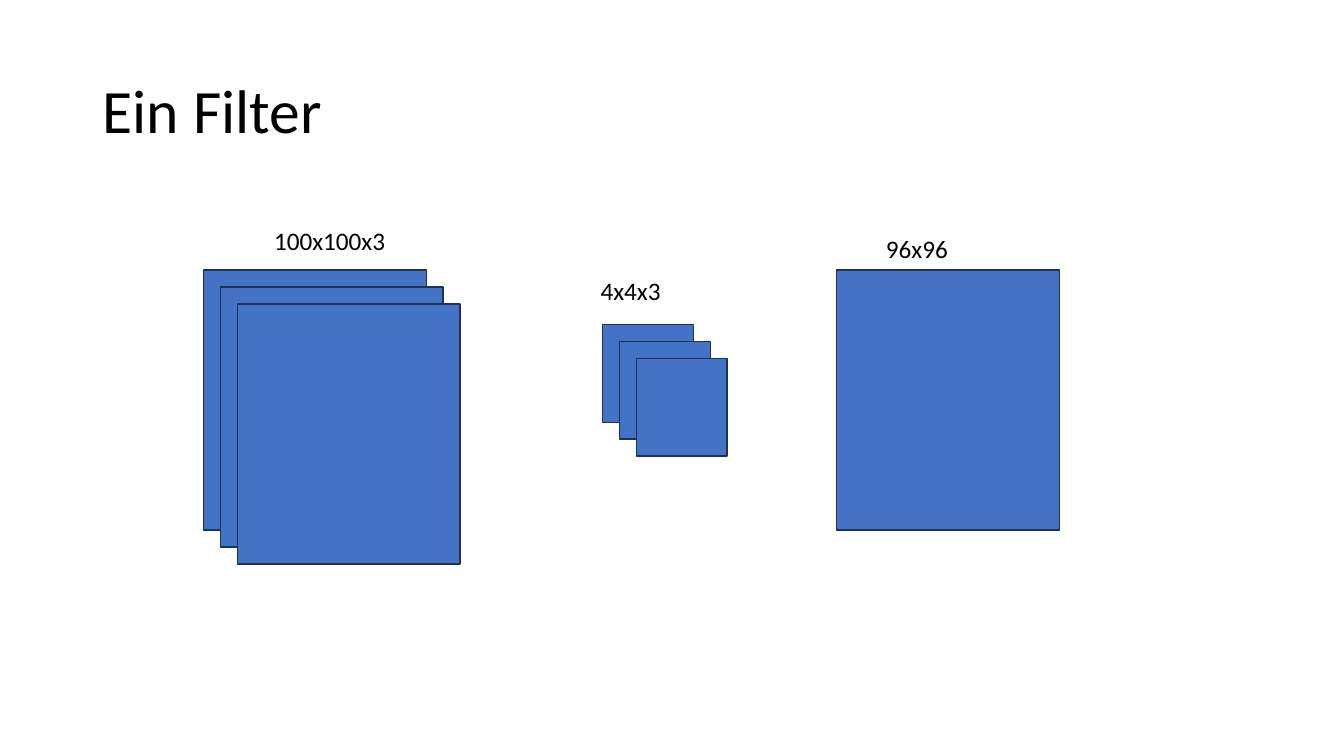
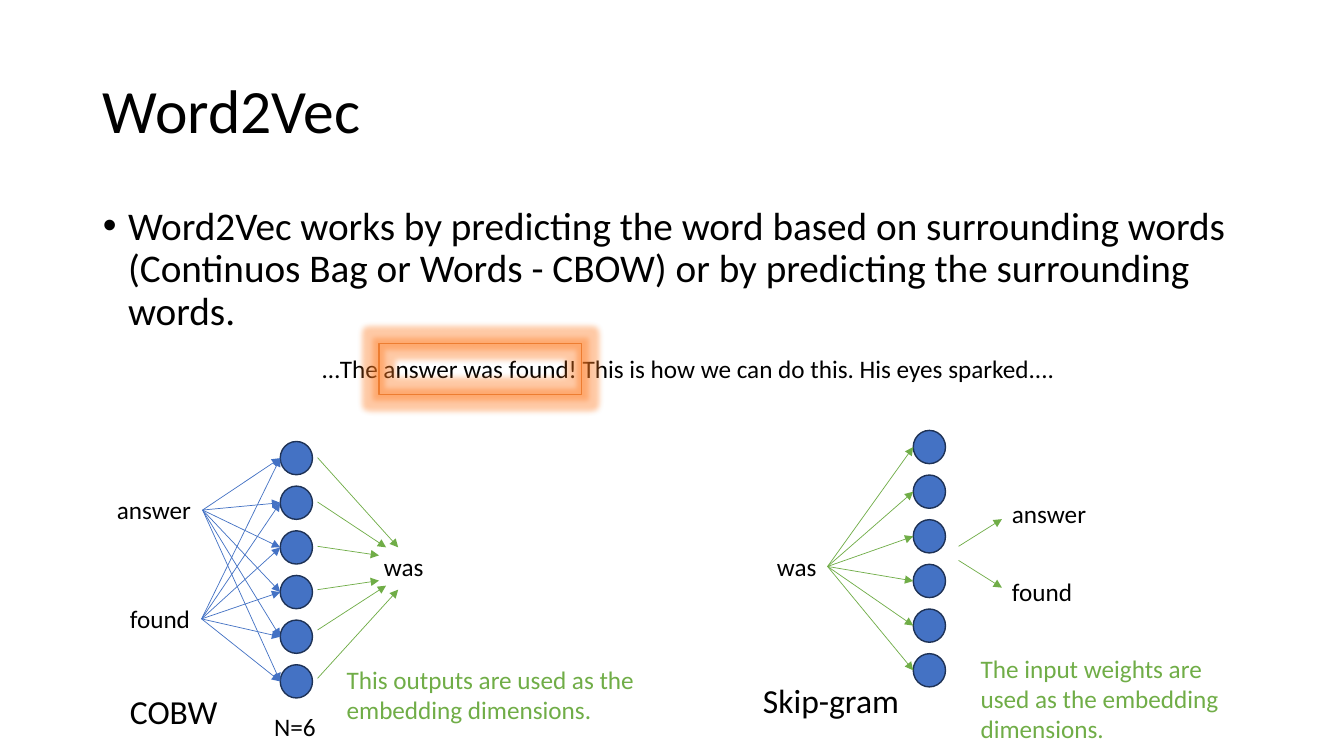
from pptx import Presentation
from pptx.dml.color import RGBColor
from pptx.enum.shapes import MSO_CONNECTOR, MSO_SHAPE
from pptx.enum.text import MSO_ANCHOR, MSO_AUTO_SIZE, PP_ALIGN
from pptx.oxml import parse_xml
from pptx.oxml.ns import nsdecls, qn
from pptx.util import Inches, Pt

BLACK = RGBColor(0x00, 0x00, 0x00)
BLUE = RGBColor(0x44, 0x72, 0xC4)
NAVY = RGBColor(0x1E, 0x32, 0x56)
GREEN = RGBColor(0x70, 0xAD, 0x47)
ORANGE = RGBColor(0xED, 0x7D, 0x31)
FONT = "Calibri"

# All lengths below count cells of this square grid.
CELL = Inches(0.1)
COLS, ROWS = 133.33, 75
MARGIN, WIDE = 9.2, 115
LAYER = (22.1, 25.8)
KERNEL = (9, 9.7)
SHIFT = 1.67
DOT = (3.2, 3.3)
PITCH = 4.43
COUNT = 6
LABEL = 4


def cells(*sizes):
    return [round(size * CELL) for size in sizes]


def write(para, text, size, color=BLACK):
    run = para.add_run()
    run.text = text
    run.font.name = FONT
    run.font.size = Pt(size)
    run.font.color.rgb = color


def fill_holder(holder, box, text, size):
    """Move a placeholder and set its single paragraph."""
    holder.left, holder.top, holder.width, holder.height = cells(*box)
    frame = holder.text_frame
    frame.auto_size = MSO_AUTO_SIZE.NONE
    para = frame.paragraphs[0]
    para.alignment = PP_ALIGN.LEFT
    para.line_spacing = 0.9
    para.space_before = Pt(0)
    write(para, text, size)
    return para


def start(deck, layout, title):
    slide = deck.slides.add_slide(deck.slide_layouts.get_by_name(layout))
    fill_holder(slide.shapes.title, (MARGIN, 4, WIDE, 14.5), title, 44)
    slide.shapes.title.text_frame.vertical_anchor = MSO_ANCHOR.MIDDLE
    return slide


def add_bullet(slide, text):
    para = fill_holder(slide.placeholders[1], (MARGIN, 20, WIDE, 47.6), text, 28)
    props = para._p.get_or_add_pPr()
    props.set("marL", str(Inches(0.25)))
    props.set("indent", str(-Inches(0.25)))


def add_text(slide, text, box, size=18, color=BLACK, wrap=False):
    label = slide.shapes.add_textbox(*cells(*box))
    frame = label.text_frame
    frame.word_wrap = wrap
    frame.auto_size = MSO_AUTO_SIZE.SHAPE_TO_FIT_TEXT
    write(frame.paragraphs[0], text, size, color)
    return label


def add_form(slide, kind, box):
    form = slide.shapes.add_shape(kind, *cells(*box))
    form.shadow.inherit = False
    form.fill.solid()
    form.fill.fore_color.rgb = BLUE
    form.line.color.rgb = NAVY
    form.line.width = Pt(1)
    return form


def add_stack(slide, left, top, size, count):
    """Draw equal sheets, each set down and to the right of the last."""
    for step in range(count):
        move = step * SHIFT
        add_form(slide, MSO_SHAPE.RECTANGLE, (left + move, top + move, *size))


def add_dots(slide, left, top):
    """Draw a column of neurons and return the middles of their left sides."""
    tops = [top + row * PITCH for row in range(COUNT)]
    for high in tops:
        add_form(slide, MSO_SHAPE.OVAL, (left, high, *DOT))
    return [(left, high + DOT[1] / 2) for high in tops]


def add_arrow(slide, begin, end, color):
    arrow = slide.shapes.add_connector(
        MSO_CONNECTOR.STRAIGHT, *cells(*begin, *end))
    arrow.line.color.rgb = color
    arrow.line.width = Pt(0.5)
    props = arrow.element.spPr
    props.find(qn("a:ln")).append(
        parse_xml(f'<a:tailEnd {nsdecls("a")} type="triangle"/>'))
    props.append(parse_xml(f'<a:effectLst {nsdecls("a")}/>'))
    return arrow


def add_fan(slide, label, ends, color):
    """Join the right side of a label to every end point."""
    for end in ends:
        arrow = add_arrow(slide, (0, 0), end, color)
        arrow.begin_connect(label, 3)


def add_glow(slide, box):
    """Draw an open frame with a soft halo."""
    frame = add_form(slide, MSO_SHAPE.RECTANGLE, box)
    frame.fill.background()
    frame.line.color.rgb = ORANGE
    frame.line.width = Pt(0.75)
    frame.element.spPr.find(qn("a:effectLst")).append(parse_xml(
        f'<a:glow {nsdecls("a")} rad="{Inches(0.11)}"><a:srgbClr val="{ORANGE}">'
        '<a:satMod val="175000"/><a:alpha val="40000"/></a:srgbClr></a:glow>'))


def draw_filter(deck):
    slide = start(deck, "Title Only", "Ein Filter")
    add_stack(slide, 20.2, 26.8, LAYER, 3)
    add_stack(slide, 59.8, 32.2, KERNEL, 3)
    add_stack(slide, 83, 26.8, LAYER, 1)
    add_text(slide, "100x100x3", (26.2, 21.9, 13.2, LABEL))
    add_text(slide, "4x4x3", (58.6, 26.8, 8, LABEL))
    add_text(slide, "96x96", (86.9, 22.7, 8.2, LABEL))


def draw_bag(slide):
    ends = add_dots(slide, 27.8, 43.8)
    for word, box in (("answer", (10.6, 48.6, 9.5, LABEL)),
                      ("found", (11.9, 59.4, 8.1, LABEL))):
        add_fan(slide, add_text(slide, word, box), ends, BLUE)
    add_text(slide, "was", (37.1, 54.2, 6, LABEL))
    tips = ((39.5, 54.3), (38.3, 54.3), (37.6, 55.1),
            (37.6, 57.6), (38.3, 58.1), (39.5, 58.5))
    for high, tip in zip((45.4, 49.8, 54.2, 58.5, 62.5, 67.3), tips):
        add_arrow(slide, (31.5, high), tip, GREEN)
    add_text(slide, "This outputs are used as the embedding dimensions.",
             (33.4, 65.4, 31.2, 7.1), color=GREEN, wrap=True)
    add_text(slide, "COBW", (11.9, 68.1, 10.8, 5), 24)
    add_text(slide, "N=6", (26.2, 70.1, 6.2, LABEL))


def draw_skip(slide):
    ends = add_dots(slide, 90.6, 42.7)
    word = add_text(slide, "was", (76.1, 54.2, 6, LABEL))
    add_fan(slide, word, ends, GREEN)
    add_text(slide, "answer", (99.4, 48.9, 9.5, LABEL))
    add_text(slide, "found", (99.4, 56.7, 8.1, LABEL))
    for high, tip in ((54.2, 51.5), (55.6, 58.3)):
        add_arrow(slide, (95.1, high), (99.4, tip), GREEN)
    add_text(slide, "The input weights are used as the embedding dimensions.",
             (96.3, 64.3, 28.4, 10.1), color=GREEN, wrap=True)
    add_text(slide, "Skip-gram", (74.7, 67, 15.6, 5), 24)


def draw_words(deck):
    slide = start(deck, "Title and Content", "Word2Vec")
    add_bullet(slide, "Word2Vec works by predicting the word based on "
               "surrounding words (Continuos Bag or Words - CBOW) or by "
               "predicting the surrounding words.")
    add_text(slide, "…The answer was found! This is how we can do this. "
             "His eyes sparked....", (31, 34.6, 74.9, LABEL))
    add_glow(slide, (37.6, 34.1, 20.1, 5))
    draw_bag(slide)
    draw_skip(slide)


def main():
    deck = Presentation()
    deck.slide_width, deck.slide_height = cells(COLS, ROWS)
    draw_filter(deck)
    draw_words(deck)
    deck.save("out.pptx")


if __name__ == "__main__":
    main()
